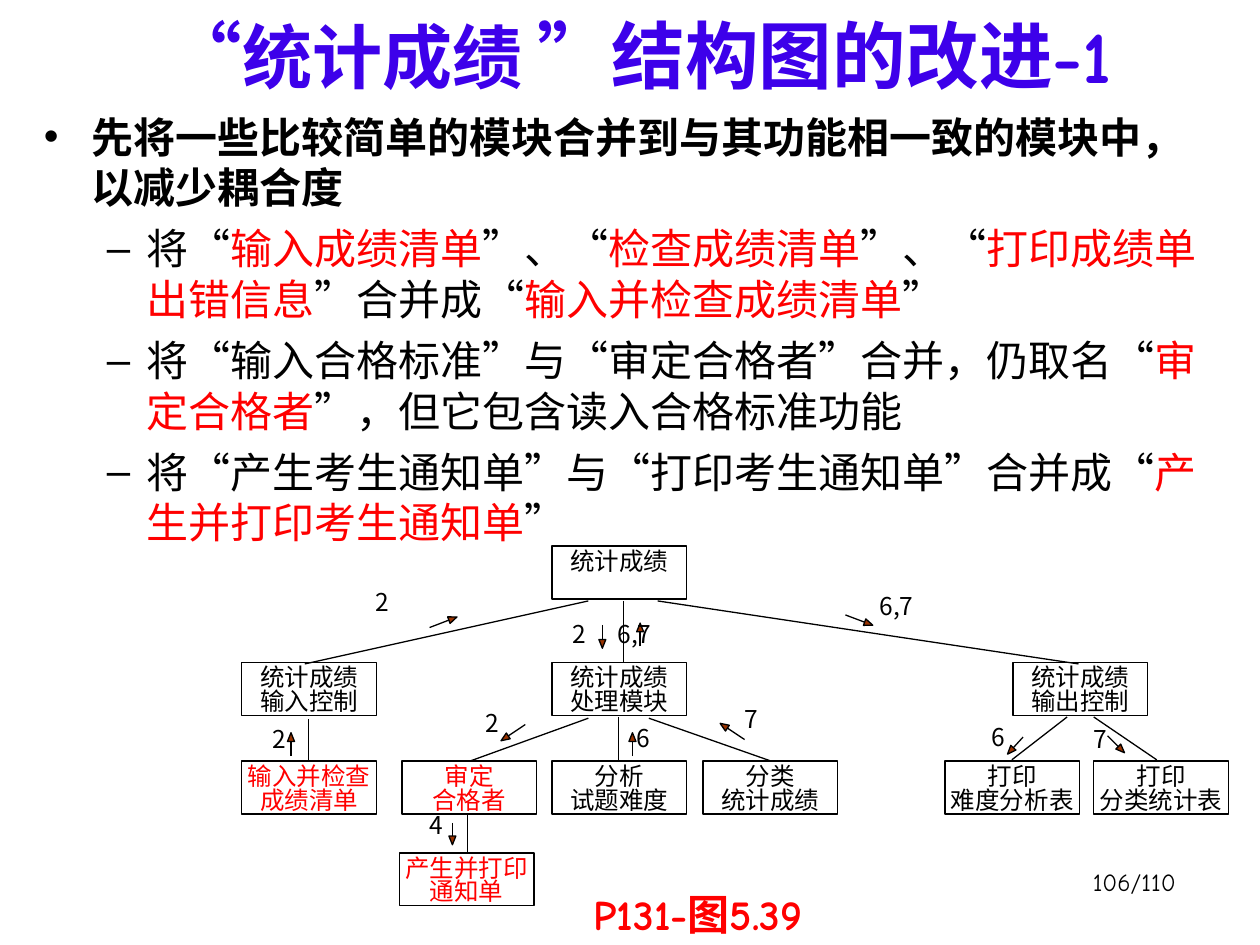
"""Build the slide on improving the structure chart for grade statistics."""
from itertools import groupby
from math import atan2, degrees

from lxml.etree import SubElement
from pptx import Presentation
from pptx.dml.color import RGBColor
from pptx.enum.shapes import MSO_CONNECTOR, MSO_SHAPE
from pptx.enum.text import MSO_ANCHOR, PP_ALIGN
from pptx.oxml.ns import qn
from pptx.util import Pt

BLACK = RGBColor(0, 0, 0)
RED = RGBColor(0xFF, 0, 0)
VIOLET = RGBColor(0x3D, 0, 0xEA)
BROWN = RGBColor(0x99, 0x33, 0)
COMIC, ARIAL, TIMES, CJK = "Comic Neue", "Arial", "Times New Roman", "Noto Sans CJK SC"

TITLE = [("“", 42, ARIAL), ("统计成绩 ", 40, COMIC), ("”", 42, ARIAL), ("结构图的改进-1", 42, COMIC)]
# Text between bars is red.
BULLETS = [
    (0, "先将一些比较简单的模块合并到与其功能相一致的模块中，以减少耦合度"),
    (1, "将“|输入成绩清单|”、“|检查成绩清单|”、“|打印成绩单出错信息|”合并成“|输入并检查成绩清单|”"),
    (1, "将“输入合格标准”与“审定合格者”合并，仍取名“|审定合格者|”，但它包含读入合格标准功能"),
    (1, "将“产生考生通知单”与“打印考生通知单”合并成“|产生并打印考生通知单|”"),
]
BULLET_STYLES = [("•", 27, -27), ("–", 58.5, -22.5)]

BOX_W, BOX_H = 77, 30.25
ROWS = [312, 378.7, 434.9, 487.4]
MODULES = [
    (0, 315.4, ["统计成绩"], BLACK),
    (1, 138.2, ["统计成绩", "输入控制"], BLACK),
    (1, 315.4, ["统计成绩", "处理模块"], BLACK),
    (1, 578.9, ["统计成绩", "输出控制"], BLACK),
    (2, 138.2, ["输入并检查", "成绩清单"], RED),
    (2, 229.7, ["审定", "合格者"], RED),
    (2, 315.4, ["分析", "试题难度"], BLACK),
    (2, 401.8, ["分类", "统计成绩"], BLACK),
    (2, 540, ["打印", "难度分析表"], BLACK),
    (2, 625, ["打印", "分类统计表"], BLACK),
    (3, 228.2, ["产生并打印", "通知单"], RED),
]
CALLS = [
    (336.2, 343.4, 174.2, 379.4), (356.4, 343.4, 356.4, 378), (375.8, 343.4, 616.3, 379.4),
    (176.4, 411.1, 176.4, 434.9), (336.2, 410.4, 268.6, 434.9), (353.5, 409.7, 353.5, 434.2),
    (370.8, 410.4, 440.6, 434.9), (609.8, 409.7, 578.2, 434.2), (625, 409.7, 661, 434.2),
    (267.1, 465.1, 267.1, 486.7),
]
FLOWS = [
    (245.5, 358.6, 258.8, 353.5), (344.2, 357.1, 344.2, 367.9), (365.8, 369.4, 365.8, 358.6),
    (483.1, 351.4, 496.4, 356.4), (166.3, 432, 166.3, 421.2), (300.2, 414, 288.4, 421.9),
    (361.4, 432, 361.4, 421.2), (425.5, 422.6, 413.6, 414.7), (584.6, 421.2, 577.4, 429.1),
    (632.9, 420.5, 640.8, 428.4), (258.5, 470.2, 258.5, 480.2),
]
HEAD_W, HEAD_H = 4, 5
LABELS = [
    ("2", 211.7, 335.5, 46), ("2", 324, 354.2, 25), ("6,7", 350, 354.2, 60),
    ("6,7", 499.7, 337.7, 60), ("2", 152.6, 414, 29.5), ("2", 274.3, 404.6, 25),
    ("6", 360.7, 413.3, 20), ("7", 422.6, 402.5, 20), ("6", 563.8, 412.6, 27),
    ("7", 622.1, 414, 27), ("4", 242.6, 463, 60),
]


def add_run(p, text, size, font, color, bold=False):
    r = p.add_run()
    r.text = text
    r.font.size, r.font.name, r.font.bold = Pt(size), font, bold
    r.font.color.rgb = color
    SubElement(r._r.get_or_add_rPr(), qn("a:ea"), typeface=CJK)


def set_margins(tf, x, y):
    tf.margin_left = tf.margin_right = Pt(x)
    tf.margin_top = tf.margin_bottom = Pt(y)


def add_text(s, x, y, w, h, margins=(7.2, 3.6)):
    tf = s.shapes.add_textbox(Pt(x), Pt(y), Pt(w), Pt(h)).text_frame
    tf.word_wrap = True
    set_margins(tf, *margins)
    return tf


def add_line(s, x1, y1, x2, y2):
    line = s.shapes.add_connector(MSO_CONNECTOR.STRAIGHT, Pt(x1), Pt(y1), Pt(x2), Pt(y2))
    line.line.color.rgb, line.line.width = BLACK, Pt(0.75)
    SubElement(line._element.spPr, qn("a:effectLst"))


def add_outlined(s, kind, x, y, w, h):
    sp = s.shapes.add_shape(kind, Pt(x), Pt(y), Pt(w), Pt(h))
    sp.shadow.inherit = False
    sp.line.color.rgb, sp.line.width = BLACK, Pt(0.75)
    return sp


def add_title(s):
    sp = s.shapes.title
    sp.left, sp.top, sp.width, sp.height = Pt(41.8), Pt(0), Pt(648), Pt(59.8)
    sp.text_frame.vertical_anchor = MSO_ANCHOR.BOTTOM
    p = sp.text_frame.paragraphs[0]
    p.alignment, p.line_spacing = PP_ALIGN.CENTER, Pt(50)
    for text, size, font in TITLE:
        add_run(p, text, size, font, VIOLET, True)


def add_bullets(s):
    tf = add_text(s, 18, 59.8, 684, 270)
    for i, (level, text) in enumerate(BULLETS):
        p = tf.add_paragraph() if i else tf.paragraphs[0]
        char, left, indent = BULLET_STYLES[level]
        pPr = p._p.get_or_add_pPr()
        pPr.set("marL", str(Pt(left)))
        pPr.set("indent", str(Pt(indent)))
        SubElement(pPr, qn("a:buFont"), typeface=ARIAL)
        SubElement(pPr, qn("a:buChar"), char=char)
        p.level, p.line_spacing = level, Pt(28.9)
        if i:
            p.space_before = Pt(6)
        for j, part in enumerate(text.split("|")):
            for quote, chars in groupby(part, lambda c: c in "“”"):
                add_run(p, "".join(chars), 24, ARIAL if quote else COMIC, RED if j % 2 else BLACK, level == 0)


def add_module(s, row, x, lines, color):
    sp = add_outlined(s, MSO_SHAPE.RECTANGLE, x, ROWS[row], BOX_W, BOX_H)
    sp.fill.background()
    tf = sp.text_frame
    tf.vertical_anchor = MSO_ANCHOR.TOP
    set_margins(tf, 1.4, 2.9)
    for i, text in enumerate(lines):
        p = tf.add_paragraph() if i else tf.paragraphs[0]
        p.alignment, p.line_spacing = PP_ALIGN.CENTER, Pt(13.7)
        add_run(p, text, 14, TIMES, color)


def add_flow(s, x1, y1, x2, y2):
    add_line(s, x1, y1, x2, y2)
    head = add_outlined(s, MSO_SHAPE.ISOSCELES_TRIANGLE, x2 - HEAD_W / 2, y2 - HEAD_H / 2, HEAD_W, HEAD_H)
    head.fill.solid()
    head.fill.fore_color.rgb = BROWN
    head.rotation = degrees(atan2(x2 - x1, y1 - y2))


def add_label(s, text, x, y, w):
    p = add_text(s, x, y, w, 24.5, (2.9, 2.9)).paragraphs[0]
    p.line_spacing = Pt(13.7)
    add_run(p, text, 14, CJK, BLACK)


def main():
    prs = Presentation()
    prs.slide_width, prs.slide_height = Pt(720), Pt(540)
    s = prs.slides.add_slide(prs.slide_layouts[5])
    add_title(s)
    add_bullets(s)
    for module in MODULES:
        add_module(s, *module)
    for call in CALLS:
        add_line(s, *call)
    for flow in FLOWS:
        add_flow(s, *flow)
    for label in LABELS:
        add_label(s, *label)
    p = add_text(s, 185.8, 504, 426.2, 36).paragraphs[0]
    p.alignment, p.line_spacing = PP_ALIGN.CENTER, Pt(28.9)
    add_run(p, "P131-图5.39", 24, COMIC, RED, True)
    p = add_text(s, 529.2, 491.8, 149.8, 36).paragraphs[0]
    p.alignment = PP_ALIGN.RIGHT
    add_run(p, "106/110", 14, COMIC, BLACK)
    prs.save("out.pptx")


if __name__ == "__main__":
    main()
